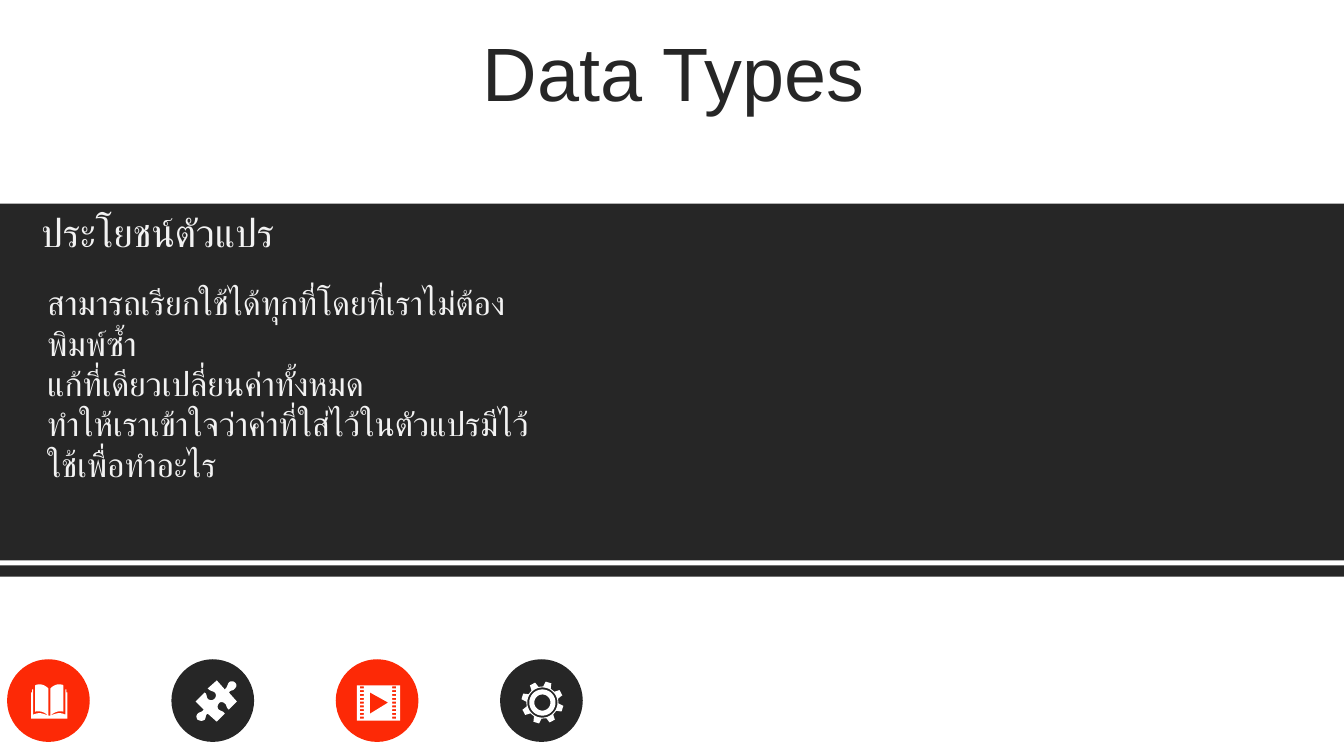
import math

import pptx
import pptx.dml.color
import pptx.enum.shapes
import pptx.enum.text
import pptx.util

# Content
INK = pptx.dml.color.RGBColor(0x26, 0x26, 0x26)
RED = pptx.dml.color.RGBColor(0xFD, 0x29, 0x06)
PALE = pptx.dml.color.RGBColor(0xF2, 0xF2, 0xF2)
WHITE = pptx.dml.color.RGBColor(0xFF, 0xFF, 0xFF)

PX = 9144  # EMU per px, 100 px to the inch
SLIDE_W, SLIDE_H = 1333, 750

TITLE = "Data Types"
HEADING = "ประโยชน์ตัวแปร"
BENEFITS = [
    "สามารถเรียกใช้ได้ทุกที่โดยที่เราไม่ต้องพิมพ์ซ้ำ",
    "แก้ที่เดียวเปลี่ยนค่าทั้งหมด",
    "ทำให้เราเข้าใจว่าค่าที่ใส่ไว้ในตัวแปรมีไว้ใช้เพื่อทำอะไร",
]

ANCHOR = pptx.enum.text.MSO_ANCHOR
GROW = pptx.enum.text.MSO_AUTO_SIZE.SHAPE_TO_FIT_TEXT
FIXED = pptx.enum.text.MSO_AUTO_SIZE.NONE
CENTER = pptx.enum.text.PP_ALIGN.CENTER
LEFT = pptx.enum.text.PP_ALIGN.LEFT

# Box, lines, size, colour, frame format, paragraph format
TEXTS = [
    ((35, 37, 1266, 79), [TITLE], 54, INK,
     {"vertical_anchor": ANCHOR.MIDDLE, "auto_size": FIXED},
     {"alignment": CENTER, "line_spacing": 0.9, "space_before": pptx.util.Pt(10)}),
    ((31, 202, 522, 57), [HEADING], 28, PALE,
     {"vertical_anchor": ANCHOR.TOP, "auto_size": GROW}, {"alignment": LEFT}),
    ((37, 275, 522, 131), BENEFITS, 24, PALE,
     {"vertical_anchor": ANCHOR.TOP, "auto_size": GROW}, {"alignment": LEFT}),
]

BANDS = [(0, 561, SLIDE_W, 11), (0, 202, SLIDE_W, 354)]

BADGE_LEFT, BADGE_TOP, BADGE_SIZE, BADGE_STEP = 7, 654, 82, 163
BADGE_COLORS = [RED, INK, RED, INK]

# Outlines: a start point, then lines (x, y) or Bezier curves (six numbers)
PUZZLE = [
    (233, 677), (235, 679, 235, 681, 233, 683), (231, 686, 229, 684, 227, 687),
    (235, 696), (227, 704), (224, 702, 225, 699, 223, 698),
    (221, 696, 218, 696, 217, 698), (216, 699, 215, 702, 217, 704),
    (220, 706, 221, 705, 223, 708), (215, 716), (206, 708),
    (203, 710, 205, 711, 203, 714), (200, 716, 198, 715, 196, 714),
    (195, 713, 194, 710, 196, 708), (198, 706, 200, 707, 202, 704),
    (194, 696), (203, 687), (206, 689, 204, 692, 207, 694),
    (209, 695, 211, 695, 213, 693), (214, 692, 215, 689, 213, 687),
    (210, 685, 209, 686, 206, 683), (215, 675), (223, 684),
    (226, 681, 225, 680, 227, 677), (229, 675, 232, 676, 233, 677),
]
BOOK_SPINE = 49
BOOK_PAGE = [(35, 680), (36, 679, 38, 679, 40, 679), (43, 679, 46, 681, 48, 683),
             (48, 710), (44, 706, 39, 705, 35, 706)]
BOOK_HALF_COVER = [(48, 710), (43, 708, 39, 706, 33, 709), (33, 684),
                   (32, 684), (32, 687), (31, 687), (31, 713)]

FILM = (354, 680, 43, 35)
FILM_HOLE_LEFTS, FILM_HOLE_TOP, FILM_HOLE_ROWS, FILM_HOLE_STEP = (357, 389), 681, 9, 3.75
PLAY = [(367, 687), (367, 708), (385, 697)]

GEAR_CENTER, GEAR_RINGS = (538, 697), (15, 13, 8)
GEAR_TEETH, GEAR_TURN = 8, 17
GEAR_TOOTH = [(16, -14), (21, -8), (21, 8), (16, 14)]  # radius, degrees

presentation = pptx.Presentation()
presentation.slide_width = SLIDE_W * PX
presentation.slide_height = SLIDE_H * PX
slide = presentation.slides.add_slide(presentation.slide_layouts[6])


def paint(part, color):
    part.shadow.inherit = False
    part.fill.solid()
    part.fill.fore_color.rgb = color
    part.line.fill.background()


def add_preset(kind, box, color):
    paint(slide.shapes.add_shape(kind, *(n * PX for n in box)), color)


def trace(outline, steps=6):
    points = [outline[0]]
    for piece in outline[1:]:
        if len(piece) == 2:
            points.append(piece)
            continue
        x0, y0 = points[-1]
        x1, y1, x2, y2, x3, y3 = piece
        for step in range(1, steps + 1):
            t = step / steps
            u = 1 - t
            a, b, c, d = u ** 3, 3 * u * u * t, 3 * u * t * t, t ** 3
            points.append((a * x0 + b * x1 + c * x2 + d * x3,
                           a * y0 + b * y1 + c * y2 + d * y3))
    return points


def mirror(points):
    return [(2 * BOOK_SPINE - x, y) for x, y in points]


def corners(left, top, width, height):
    return [(left, top), (left + width, top),
            (left + width, top + height), (left, top + height)]


def around_gear(radius, degrees):
    angle = math.radians(degrees)
    return (GEAR_CENTER[0] + radius * math.cos(angle),
            GEAR_CENTER[1] + radius * math.sin(angle))


def add_icon(contours):
    scaled = [[(x * PX, y * PX) for x, y in contour] for contour in contours]
    builder = slide.shapes.build_freeform(*scaled[0][0])
    builder.add_line_segments(scaled[0][1:], close=True)
    for contour in scaled[1:]:
        builder.move_to(*contour[0])
        builder.add_line_segments(contour[1:], close=True)
    paint(builder.convert_to_shape(), WHITE)


# Dark bands and round badges
for band in BANDS:
    add_preset(pptx.enum.shapes.MSO_SHAPE.RECTANGLE, band, INK)
for index, badge_color in enumerate(BADGE_COLORS):
    badge = (BADGE_LEFT + index * BADGE_STEP, BADGE_TOP, BADGE_SIZE, BADGE_SIZE)
    add_preset(pptx.enum.shapes.MSO_SHAPE.OVAL, badge, badge_color)

# Icons: book, puzzle piece, film, gear
page, half_cover = trace(BOOK_PAGE), trace(BOOK_HALF_COVER)
add_icon([page, mirror(page), half_cover + mirror(half_cover)[::-1]])
add_icon([trace(PUZZLE)])
film_holes = [corners(left, FILM_HOLE_TOP + row * FILM_HOLE_STEP, 4, 2)
              for row in range(FILM_HOLE_ROWS) for left in FILM_HOLE_LEFTS]
add_icon([corners(*FILM), PLAY] + film_holes)
gear_edge = [around_gear(radius, GEAR_TURN + tooth * 360 / GEAR_TEETH + degrees)
             for tooth in range(GEAR_TEETH) for radius, degrees in GEAR_TOOTH]
gear_rings = [[around_gear(radius, degrees) for degrees in range(0, 360, 10)]
              for radius in GEAR_RINGS]
add_icon([gear_edge] + gear_rings)

# Title, heading and benefits
for box, lines, size, color, frame_format, paragraph_format in TEXTS:
    frame = slide.shapes.add_textbox(*(n * PX for n in box)).text_frame
    frame.word_wrap = True
    for name, value in frame_format.items():
        setattr(frame, name, value)
    for index, line in enumerate(lines):
        paragraph = frame.add_paragraph() if index else frame.paragraphs[0]
        for name, value in paragraph_format.items():
            setattr(paragraph, name, value)
        run = paragraph.add_run()
        run.text = line
        for name, value in {"name": "Arial", "size": pptx.util.Pt(size)}.items():
            setattr(run.font, name, value)
        run.font.color.rgb = color

presentation.save("out.pptx")
